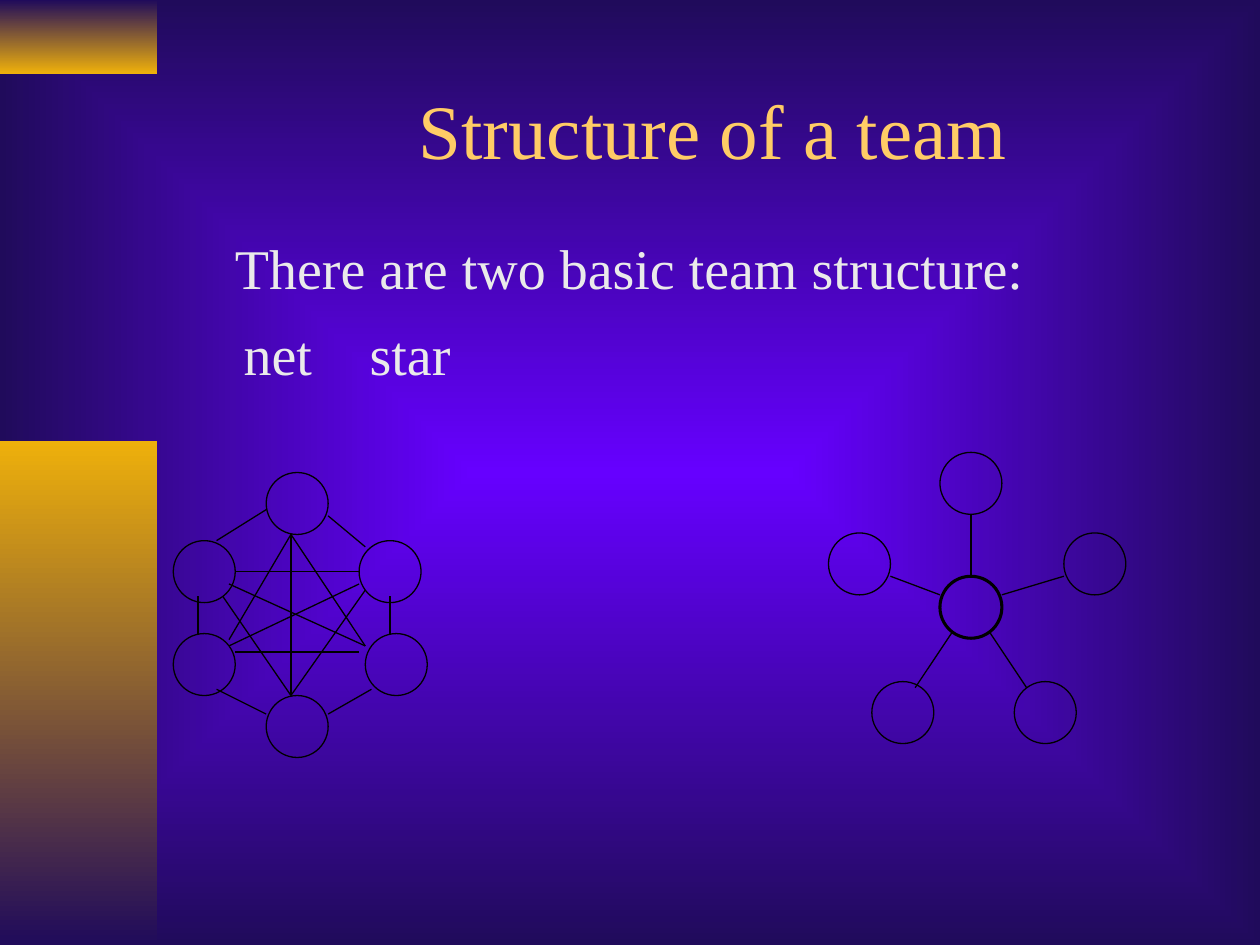
from pptx import Presentation
from pptx.dml.color import RGBColor
from pptx.enum.shapes import MSO_CONNECTOR, MSO_SHAPE
from pptx.enum.text import MSO_ANCHOR, MSO_AUTO_SIZE, PP_ALIGN
from pptx.oxml import parse_xml
from pptx.oxml.ns import nsdecls, qn
from pptx.util import Pt


def color(hex_string):
    return RGBColor.from_string(hex_string)


def blend(fill, start, end):
    fill.gradient()
    for stop, hex_string in zip(fill.gradient_stops, (start, end)):
        stop.color.rgb = color(hex_string)


deck = Presentation()
deck.slide_width, deck.slide_height = Pt(720), Pt(540)
slide = deck.slides.add_slide(deck.slide_layouts[1])

blend(slide.background.fill, "6600FF", "200B5B")
backdrop = slide.element.xpath(".//p:bg//a:gradFill")[0]
backdrop.replace(backdrop.find(qn("a:lin")), parse_xml(
    f'<a:path {nsdecls("a")} path="rect">'
    '<a:fillToRect l="50000" t="50000" r="50000" b="50000"/></a:path>'))

side_bars = slide.shapes.add_group_shape()
for top, height, start, end in [(0, 42, "200B5B", "EEB00B"), (252, 288, "EEB00B", "200B5B")]:
    bar = side_bars.shapes.add_shape(MSO_SHAPE.RECTANGLE, 0, Pt(top), Pt(90), Pt(height))
    bar.shadow.inherit = False
    blend(bar.fill, start, end)
    bar.fill.gradient_angle = 270
    bar.line.fill.background()

heading = slide.shapes.title
intro = slide.placeholders[1]
for holder, top, height, anchor, margin_left, margin_top in [
    (heading, 24, 95, MSO_ANCHOR.MIDDLE, 18, 8),
    (intro, 126, 354, MSO_ANCHOR.TOP, 7.2, 7.2),
]:
    holder.left, holder.top, holder.width, holder.height = Pt(96), Pt(top), Pt(612), Pt(height)
    frame_format = {"vertical_anchor": anchor, "auto_size": MSO_AUTO_SIZE.NONE, "word_wrap": True,
                    "margin_left": Pt(margin_left), "margin_top": Pt(margin_top)}
    for name, value in frame_format.items():
        setattr(holder.text_frame, name, value)

heading.text_frame.text = "Structure of a team"
intro.text_frame.text = "There are two basic team structure:\n\tnet\tstar"
opening, kinds = intro.text_frame.paragraphs
for paragraph, indent, space in [(opening, 31, 0), (kinds, 0, 11)]:
    properties = paragraph._p.get_or_add_pPr()
    properties.set("marL", str(Pt(indent)))
    properties.set("indent", "0")
    paragraph.space_before = Pt(space)
    properties.append(parse_xml(f'<a:buNone {nsdecls("a")}/>'))
kinds._p.pPr.append(parse_xml(
    f'<a:tabLst {nsdecls("a")}><a:tab pos="{Pt(55.5)}" algn="l"/>'
    f'<a:tab pos="{Pt(458.5)}" algn="l"/></a:tabLst>'))

for paragraph, size, hex_string, alignment in [
    (heading.text_frame.paragraphs[0], 44, "FFCC66", PP_ALIGN.CENTER),
    (opening, 32, "EAEAEA", PP_ALIGN.LEFT),
    (kinds, 32, "EAEAEA", PP_ALIGN.LEFT),
]:
    paragraph.alignment = alignment
    for run in paragraph.runs:
        run.font.name = "Times New Roman"
        run.font.size = Pt(size)
        run.font.color.rgb = color(hex_string)

unit = 3.54
net = {
    "origin": (99, 270),
    "members": [(0, 11), (15, 0), (0, 26), (15, 36), (30, 11), (31, 26)],
    "leader": None,
    "links": [(19, 10, 19, 36), (19, 10, 31, 28), (25, 7, 31, 12), (35, 20, 35, 26),
              (32, 35, 25, 39), (15, 39, 7, 35), (4, 20, 4, 26), (15, 6, 7, 11),
              (19, 10, 9, 27), (10, 29, 30, 29), (19, 36, 31, 19), (19, 36, 8, 20),
              (10, 16, 30, 16), (9, 28, 30, 18), (9, 18, 31, 28)],
}
star = {
    "origin": (473.4, 258.5),
    "members": [(18, 0), (0, 13), (18, 20), (38, 13), (7, 37), (30, 37)],
    "leader": (18, 20),
    "links": [(23, 10, 23, 20), (26, 29, 32, 38), (28, 23, 38, 20), (10, 20, 18, 23),
              (20, 29, 14, 38)],
}
for team in (net, star):
    left, top = team["origin"]
    diagram = slide.shapes.add_group_shape()
    for x, y in team["members"]:
        member = diagram.shapes.add_shape(
            MSO_SHAPE.OVAL, Pt(left + x * unit), Pt(top + y * unit), Pt(10 * unit), Pt(10 * unit))
        member.shadow.inherit = False
        member.fill.background()
        member.line.color.rgb = color("000000")
        member.line.width = Pt(1.75 if (x, y) == team["leader"] else 0.75)
    for x1, y1, x2, y2 in team["links"]:
        link = diagram.shapes.add_connector(
            MSO_CONNECTOR.STRAIGHT, Pt(left + x1 * unit), Pt(top + y1 * unit),
            Pt(left + x2 * unit), Pt(top + y2 * unit))
        link.line.color.rgb = color("000000")
        link.line.width = Pt(0.75)
        link._element.spPr.append(parse_xml(f'<a:effectLst {nsdecls("a")}/>'))

deck.save("out.pptx")
